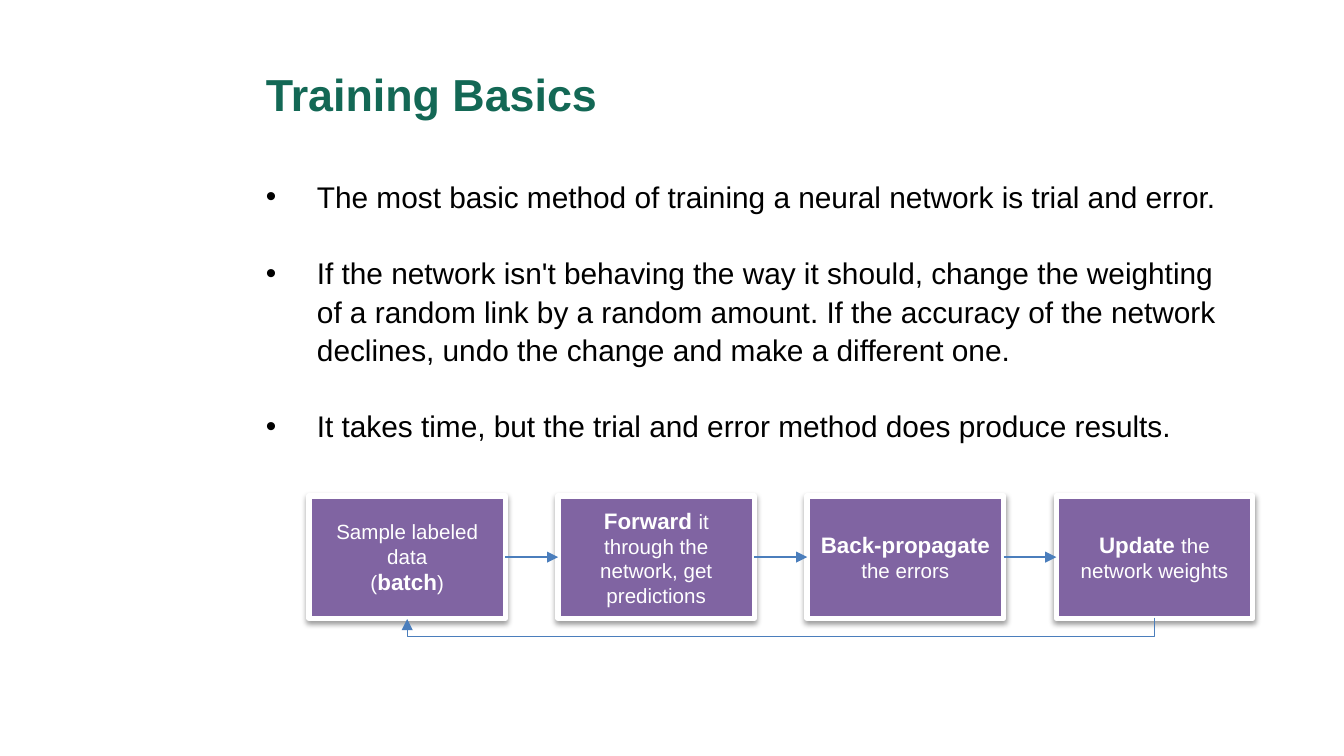
from lxml import etree
from pptx import Presentation
from pptx.dml.color import RGBColor
from pptx.enum.shapes import MSO_CONNECTOR as Connector, MSO_SHAPE as Shape
from pptx.enum.text import MSO_ANCHOR as Anchor, PP_ALIGN as Align
from pptx.oxml.ns import qn
from pptx.util import Inches, Pt

WIDTH = Inches(10)
HEIGHT = WIDTH * 9 // 16
GREEN, BLACK, WHITE = "136855", "000000", "FFFFFF"
PURPLE, BLUE = "8064A2", "4B7EBC"
BOTTOM, LEFT, RIGHT = 2, 1, 3

BULLETS = [
    "The most basic method of training a neural network is trial and error.",
    "If the network isn't behaving the way it should, change the weighting "
    "of a random link by a random amount. If the accuracy of the network "
    "declines, undo the change and make a different one.",
    "It takes time, but the trial and error method does produce results.",
]
# Each step is a list of paragraphs; each paragraph a list of (text, bold)
STEPS = [
    [[("Sample labeled data", False)],
     [("(", False), ("batch", True), (")", False)]],
    [[("Forward ", True), ("it through the network, get predictions", False)]],
    [[("Back-propagate", True), (" the errors", False)]],
    [[("Update ", True), ("the network weights", False)]],
]


def color(value):
    return RGBColor.from_string(value)


def region(left, top, width, height):
    """Turn shares of the slide into a box of lengths."""
    return (int(left * WIDTH), int(top * HEIGHT),
            int(width * WIDTH), int(height * HEIGHT))


def add_xml(parent, tag, **attributes):
    element = etree.SubElement(parent, qn(tag))
    for name, value in attributes.items():
        element.set(name, str(value))
    return element


def add_text(paragraph, text, size=16, fill=BLACK, bold=False):
    run = paragraph.add_run()
    run.text = text
    run.font.name = "Arial"
    run.font.size = Pt(size)
    run.font.bold = bold
    run.font.color.rgb = color(fill)


def next_paragraph(frame, index):
    return frame.add_paragraph() if index else frame.paragraphs[0]


def add_title(slide, box, text):
    frame = slide.shapes.add_textbox(*box).text_frame
    frame.word_wrap = True
    frame.vertical_anchor = Anchor.MIDDLE
    add_text(frame.paragraphs[0], text, size=24, fill=GREEN, bold=True)


def add_bullets(slide, box, items):
    frame = slide.shapes.add_textbox(*box).text_frame
    frame.word_wrap = True
    frame.margin_top = 0
    frame.margin_right = Inches(0.4)
    line = Pt(20.5)
    for index, item in enumerate(items):
        paragraph = next_paragraph(frame, index)
        paragraph.line_spacing = line
        paragraph.space_before = line if index else 0
        properties = paragraph._p.get_or_add_pPr()
        properties.set("marL", str(Inches(0.38)))
        properties.set("indent", str(-Inches(0.38)))
        add_xml(properties, "a:buFont", typeface="Arial")
        add_xml(properties, "a:buChar", char="•")
        add_text(paragraph, item)


def add_step(slide, box, paragraphs):
    shape = slide.shapes.add_shape(Shape.RECTANGLE, *box)
    shape.fill.solid()
    shape.fill.fore_color.rgb = color(PURPLE)
    shape.line.color.rgb = color(WHITE)
    shape.line.width = Pt(3)
    # Soft shadow straight below
    effects = add_xml(shape._element.spPr, "a:effectLst")
    shadow = add_xml(effects, "a:outerShdw", blurRad=Pt(3.1), dist=Pt(1.6),
                     dir=90 * 60000, rotWithShape=0)
    add_xml(add_xml(shadow, "a:srgbClr", val=BLACK), "a:alpha", val=38000)
    # Centred label
    frame = shape.text_frame
    frame.word_wrap = True
    frame.vertical_anchor = Anchor.MIDDLE
    frame.margin_left = frame.margin_right = Inches(0.08)
    for index, runs in enumerate(paragraphs):
        paragraph = next_paragraph(frame, index)
        paragraph.alignment = Align.CENTER
        for text, bold in runs:
            add_text(paragraph, text, size=12 if bold else 11,
                     fill=WHITE, bold=bold)
    return shape


def add_arrow(slide, kind, start, start_site, end, end_site):
    arrow = slide.shapes.add_connector(kind, 0, 0, 0, 0)
    arrow.begin_connect(start, start_site)
    arrow.end_connect(end, end_site)
    arrow.line.color.rgb = color(BLUE)
    arrow.line.width = Pt(0.75)
    add_xml(arrow.line._get_or_add_ln(), "a:tailEnd", type="triangle")
    add_xml(arrow._element.spPr, "a:effectLst")
    return arrow


def add_return_arrow(slide, start, end, drop):
    """Loop back below the row: a bent connector turned a quarter."""
    arrow = add_arrow(slide, Connector.ELBOW, start, BOTTOM, end, BOTTOM)
    span, thin = start.left - end.left, Inches(0.01)
    center = end.left + end.width // 2 + span // 2
    arrow.left, arrow.top = center - thin // 2, end.top + end.height - span // 2
    arrow.width, arrow.height = thin, span
    transform = arrow._element.spPr.find(qn("a:xfrm"))
    transform.set("rot", str(90 * 60000))
    for flip in ("flipH", "flipV"):
        transform.attrib.pop(flip, None)
    geometry = arrow._element.spPr.find(qn("a:prstGeom"))
    adjustments = geometry.find(qn("a:avLst"))
    if adjustments is None:
        adjustments = add_xml(geometry, "a:avLst")
    add_xml(adjustments, "a:gd", name="adj1",
            fmla=f"val {int(drop / thin * 100000)}")


def add_training_loop(slide, box, steps):
    left, top, width, height = box
    step_width = int(width * 0.208)
    pitch = (width - step_width) // (len(steps) - 1)
    shapes = [add_step(slide, (left + index * pitch, top, step_width, height), step)
              for index, step in enumerate(steps)]
    for start, end in zip(shapes, shapes[1:]):
        add_arrow(slide, Connector.STRAIGHT, start, RIGHT, end, LEFT)
    add_return_arrow(slide, shapes[-1], shapes[0], drop=Inches(0.14))


def main():
    presentation = Presentation()
    presentation.slide_width, presentation.slide_height = WIDTH, HEIGHT
    slide = presentation.slides.add_slide(presentation.slide_layouts[6])
    add_title(slide, region(0.188, 0.04, 0.762, 0.167), "Training Basics")
    add_bullets(slide, region(0.188, 0.233, 0.762, 0.4), BULLETS)
    add_training_loop(slide, region(0.23, 0.656, 0.702, 0.162), STEPS)
    presentation.save("out.pptx")


if __name__ == "__main__":
    main()
